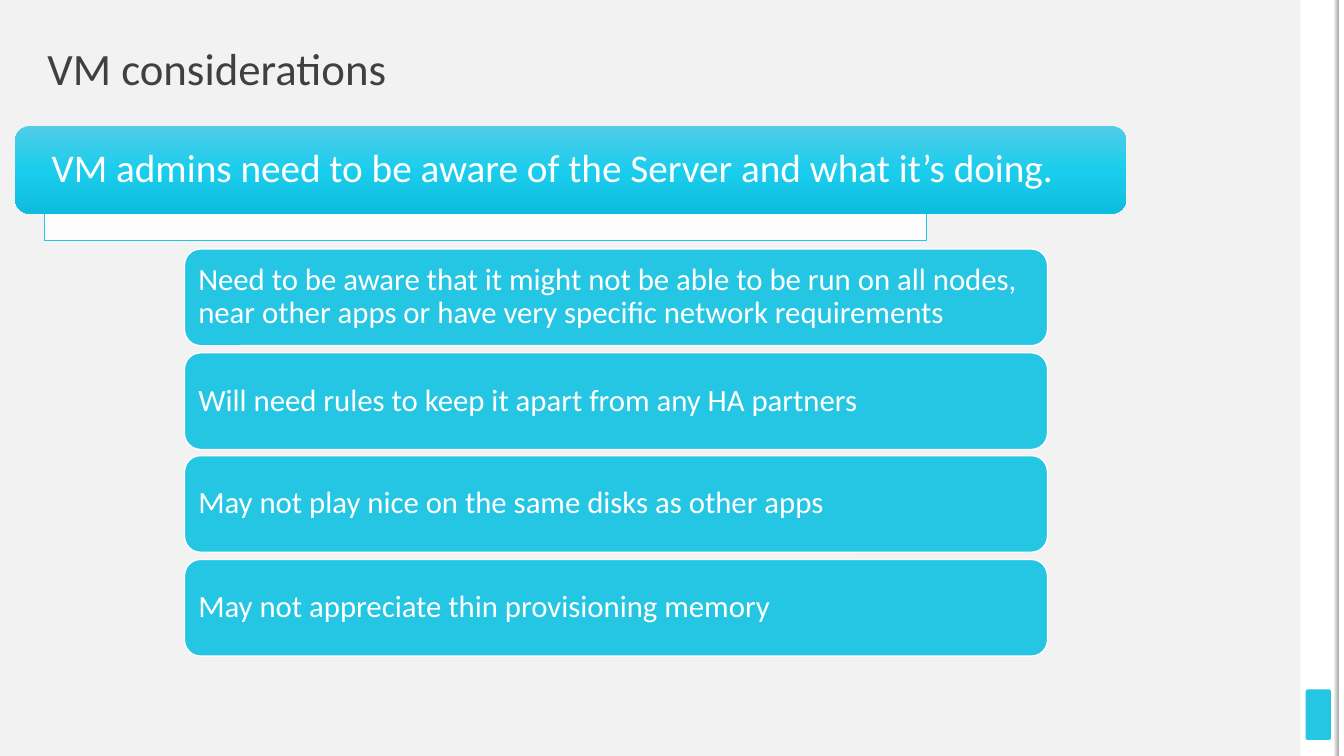
"""Build the VM considerations slide."""
from dataclasses import dataclass

from lxml import etree
from pptx import Presentation
from pptx import util as u
from pptx.dml.color import RGBColor
from pptx.enum import shapes, text
from pptx.oxml.ns import qn

TITLE = "VM considerations"
HEADLINE = "VM admins need to be aware of the Server and what it’s doing."
CARDS = [
    "Need to be aware that it might not be able to be run on all nodes, "
    "near other apps or have very specific network requirements",
    "Will need rules to keep it apart from any HA partners",
    "May not play nice on the same disks as other apps",
    "May not appreciate thin provisioning memory",
]


@dataclass(frozen=True)
class Theme:
    font: str = "Calibri"
    title_size: int = 32
    headline_size: int = 28
    card_size: int = 22
    background: str = "F2F2F2"
    ink: str = "404040"
    white: str = "FFFFFF"
    accent: str = "25C6E3"
    headline_fill: tuple = ((0, "51CDE8"), (50, "1BCDEC"), (100, "0EBDDD"))
    edge_fill: tuple = ((0, "F2F2F2"), (100, "A6A6A6"))


THEME = Theme()
PX = 9144
SLIDE_W, SLIDE_H = 1333, 750
CARD_LEFT, CARD_TOP, CARD_W, CARD_H = 183, 247, 856, 96
LAST_CARD_TOP = 555
RECT = shapes.MSO_SHAPE.RECTANGLE
ROUND = shapes.MSO_SHAPE.ROUNDED_RECTANGLE


def px(*values):
    return [u.Emu(v * PX) for v in values]


def add_box(s, kind, at, fill=None, line=None, line_width=1):
    sp = s.shapes.add_shape(kind, *px(*at))
    sp.shadow.inherit = False
    if fill:
        sp.fill.solid()
        sp.fill.fore_color.rgb = RGBColor.from_string(fill)
    if line:
        sp.line.color.rgb = RGBColor.from_string(line)
        sp.line.width = u.Pt(line_width)
    else:
        sp.line.fill.background()
    return sp


def set_gradient(sp, stops, angle):
    sp.fill.gradient()
    sp.fill.gradient_angle = angle
    stop_list = next(sp.element.spPr.iter(qn("a:gsLst")))
    for old in list(stop_list):
        stop_list.remove(old)
    for position, color in stops:
        stop = etree.SubElement(stop_list, qn("a:gs"), pos=str(position * 1000))
        etree.SubElement(stop, qn("a:srgbClr"), val=color)


def set_text(sp, words, size, color, inset_x=0, inset_y=0):
    tf = sp.text_frame
    tf.text = words
    tf.word_wrap = True
    tf.vertical_anchor = text.MSO_ANCHOR.MIDDLE
    tf.margin_left = tf.margin_right = u.Emu(inset_x * PX)
    tf.margin_top = tf.margin_bottom = u.Emu(inset_y * PX)
    p = tf.paragraphs[0]
    p.alignment = text.PP_ALIGN.LEFT
    p.line_spacing = 0.9
    r = p.runs[0]
    r.font.name = THEME.font
    r.font.size = u.Pt(size)
    r.font.color.rgb = RGBColor.from_string(color)


def add_side_band(s):
    add_box(s, RECT, (1290, 0, 39, SLIDE_H), THEME.white)
    marker = add_box(s, ROUND, (1295, 684, 25, 50), THEME.accent)
    marker.adjustments[0] = 0.07
    add_box(s, RECT, (1328, 0, 5, SLIDE_H), THEME.white)
    edge = add_box(s, RECT, (1323, 0, 5, SLIDE_H))
    set_gradient(edge, THEME.edge_fill, 0)


def add_headline(s):
    shelf = add_box(s, RECT, (44, 165, 875, 74), THEME.white, THEME.accent, 0.5)
    color = next(shelf.element.spPr.iter(qn("a:srgbClr")))
    etree.SubElement(color, qn("a:alpha"), val="90000")
    banner = add_box(s, ROUND, (15, 125, 1102, 87))
    set_gradient(banner, THEME.headline_fill, 270)
    set_text(banner, HEADLINE, THEME.headline_size, THEME.white, inset_x=32)


def add_cards(s):
    pitch = (LAST_CARD_TOP - CARD_TOP) / (len(CARDS) - 1)
    for i, words in enumerate(CARDS):
        top = CARD_TOP + round(i * pitch)
        card = add_box(s, ROUND, (CARD_LEFT, top, CARD_W, CARD_H),
                       THEME.accent, THEME.white)
        set_text(card, words, THEME.card_size, THEME.white, 9, 9)


def main():
    prs = Presentation()
    prs.slide_width, prs.slide_height = px(SLIDE_W, SLIDE_H)
    s = prs.slides.add_slide(prs.slide_layouts[6])
    s.background.fill.solid()
    s.background.fill.fore_color.rgb = RGBColor.from_string(THEME.background)
    add_side_band(s)
    title = s.shapes.add_textbox(*px(47, 47, 598, 47))
    set_text(title, TITLE, THEME.title_size, THEME.ink)
    add_headline(s)
    add_cards(s)
    prs.save("out.pptx")


if __name__ == "__main__":
    main()
